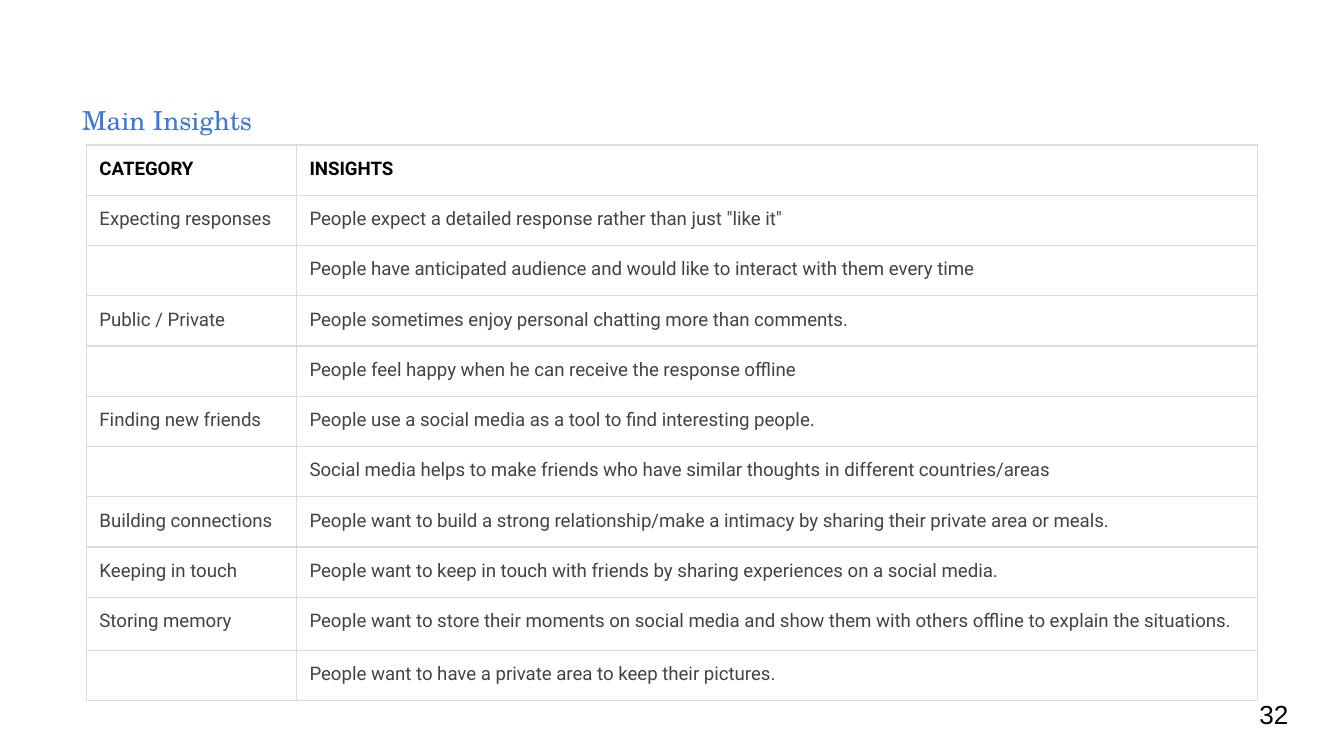
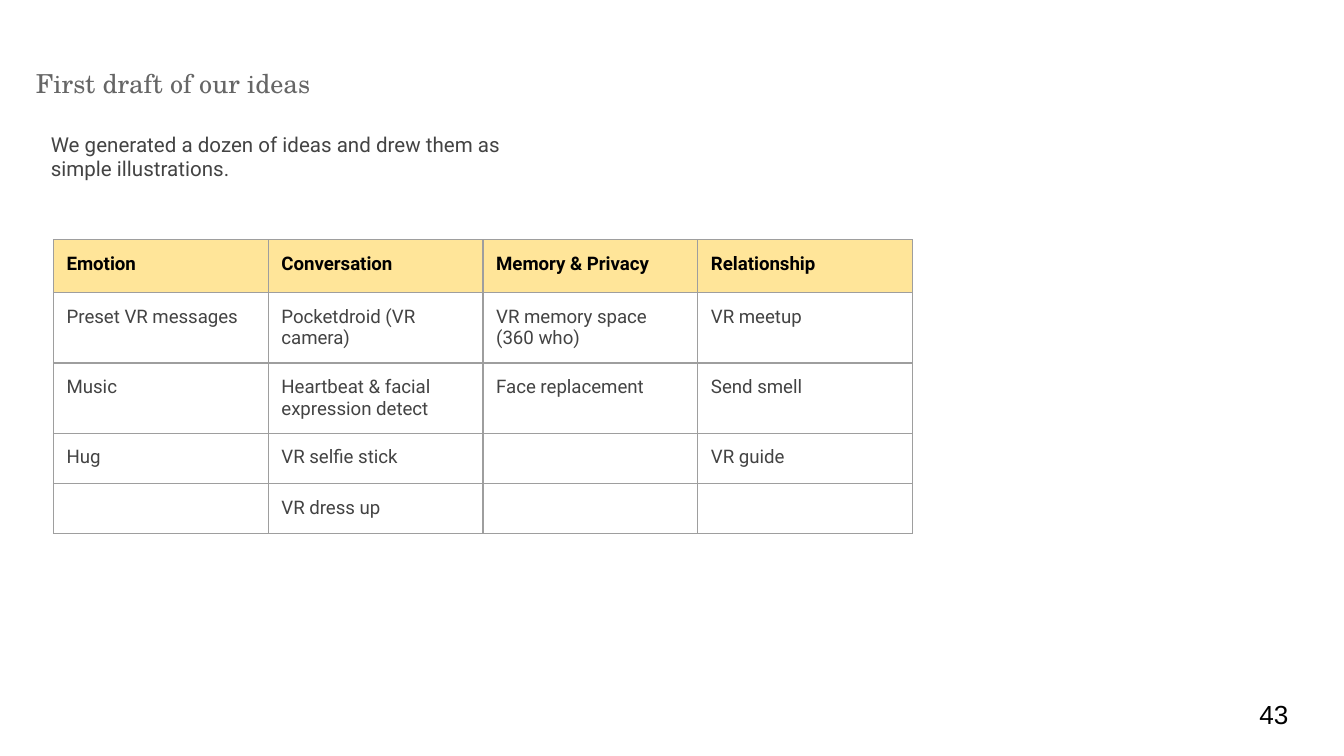
from lxml.etree import SubElement
from pptx import Presentation
from pptx.dml.color import RGBColor
from pptx.enum.text import MSO_ANCHOR, MSO_AUTO_SIZE, PP_ALIGN
from pptx.oxml.ns import qn
from pptx.util import Cm, Pt

SANS, SERIF, NUMBER_FONT = "Roboto", "TeX Gyre Schola", "Arial"
BLACK, DARK, GREY, BLUE = "000000", "434343", "666666", "3C78D8"
YELLOW, PALE_LINE, MID_LINE = "FFE599", "DBDBDB", "9E9E9E"
INSET = Cm(0.25)
TITLE_ONLY, TITLE_AND_BODY = 5, 1

INSIGHTS = [
    ("CATEGORY", "INSIGHTS"),
    ("Expecting responses", 'People expect a detailed response rather than just "like it"'),
    ("", "People have anticipated audience and would like to interact with them every time"),
    ("Public / Private", "People sometimes enjoy personal chatting more than comments."),
    ("", "People feel happy when he can receive the response offline"),
    ("Finding new friends", "People use a social media as a tool to find interesting people."),
    ("", "Social media helps to make friends who have similar thoughts in different countries/areas"),
    ("Building connections", "People want to build a strong relationship/make a intimacy by "
                             "sharing their private area or meals."),
    ("Keeping in touch", "People want to keep in touch with friends by sharing experiences "
                         "on a social media."),
    ("Storing memory", "People want to store their moments on social media and show them "
                       "with others offline to explain the situations."),
    ("", "People want to have a private area to keep their pictures."),
]

IDEAS = [
    ("Emotion", "Conversation", "Memory & Privacy", "Relationship"),
    ("Preset VR messages", "Pocketdroid (VR camera)", "VR memory space\n(360 who)", "VR meetup"),
    ("Music", "Heartbeat & facial expression detect", "Face replacement", "Send smell"),
    ("Hug", "VR selfie stick", "", "VR guide"),
    ("", "VR dress up", "", ""),
]


def rgb(value):
    return RGBColor.from_string(value)


def set_font(para, name, size, color, bold=False):
    para.font.name = name
    para.font.size = Pt(size)
    para.font.color.rgb = rgb(color)
    para.font.bold = bold


def fill_box(box, place, text, name, size, color, anchor=MSO_ANCHOR.TOP):
    """Place a text shape, write one paragraph in it and return the paragraph."""
    box.left, box.top, box.width, box.height = (Cm(length) for length in place)
    frame = box.text_frame
    frame.word_wrap = True
    frame.auto_size = MSO_AUTO_SIZE.NONE
    frame.vertical_anchor = anchor
    frame.margin_left = frame.margin_right = INSET
    frame.margin_top = frame.margin_bottom = INSET
    frame.text = text
    para = frame.paragraphs[0]
    para.alignment = PP_ALIGN.LEFT
    para.space_before = Pt(0)
    set_font(para, name, size, color)
    return para


def add_title(page, place, text, color, anchor=MSO_ANCHOR.TOP):
    return fill_box(page.shapes.title, place, text, SERIF, 14, color, anchor)


def add_body(page, place, text):
    box = page.placeholders[1]
    para = fill_box(box, place, text, SANS, 11, DARK)
    para.space_after = Pt(10)
    properties = para._p.get_or_add_pPr()
    properties.set("marL", "0")
    properties.set("indent", "0")
    no_bullet = SubElement(properties, qn("a:buNone"))
    properties.find(qn("a:defRPr")).addprevious(no_bullet)


def add_page_number(page, number):
    box = page.shapes.add_textbox(0, 0, 0, 0)
    fill_box(box, (23.55, 12.95, 1.52, 1.09), str(number), NUMBER_FONT, 14, BLACK,
             MSO_ANCHOR.MIDDLE)


def add_borders(cell, color):
    properties = cell._tc.get_or_add_tcPr()
    for position, side in enumerate(("lnL", "lnR", "lnT", "lnB")):
        line = SubElement(properties, qn(f"a:{side}"), w=str(Pt(0.75)))
        solid = SubElement(line, qn("a:solidFill"))
        SubElement(solid, qn("a:srgbClr"), val=color)
        properties.insert(position, line)


def style_cell(cell, text, is_header, header_fill, line_color):
    cell.text = text
    cell.margin_left = cell.margin_right = INSET
    cell.margin_top = cell.margin_bottom = INSET
    for para in cell.text_frame.paragraphs:
        set_font(para, SANS, 10, BLACK if is_header else DARK, is_header)
        if not text:
            para._p.get_or_add_endParaRPr().set("sz", "1000")
    if is_header and header_fill:
        cell.fill.solid()
        cell.fill.fore_color.rgb = rgb(header_fill)
    else:
        cell.fill.background()
    add_borders(cell, line_color)


def add_grid(page, left, top, widths, heights, rows, line_color, header_fill=None):
    table = page.shapes.add_table(len(rows), len(widths), Cm(left), Cm(top),
                                  Cm(sum(widths)), Cm(sum(heights))).table
    table.first_row = table.horz_banding = False
    for column, width in zip(table.columns, widths):
        column.width = Cm(width)
    for row_index, (row, height, texts) in enumerate(zip(table.rows, heights, rows)):
        row.height = Cm(height)
        for cell, text in zip(row.cells, texts):
            style_cell(cell, text, row_index == 0, header_fill, line_color)


def add_insights_page(deck):
    page = deck.slides.add_slide(deck.slide_layouts[TITLE_ONLY])
    add_grid(page, 1.63, 2.74, (3.97, 18.16), [0.95] * 9 + [1, 0.95], INSIGHTS, PALE_LINE)
    add_page_number(page, 32)
    para = add_title(page, (1.3, 1.55, 8.2, 1.37), "Main Insights", BLUE, MSO_ANCHOR.MIDDLE)
    para.line_spacing = 1.15
    para.space_after = Pt(16)


def add_ideas_page(deck):
    page = deck.slides.add_slide(deck.slide_layouts[TITLE_AND_BODY])
    add_grid(page, 1.01, 4.53, [4.06] * 4, (1, 1.33, 1.33, 0.95, 0.95), IDEAS, MID_LINE, YELLOW)
    add_title(page, (0.43, 1.02, 10.97, 1.22), "First draft of our ideas", GREY)
    add_body(page, (0.71, 2.24, 9.7, 1.8),
             "We generated a dozen of ideas and drew them as simple illustrations.")
    add_page_number(page, 43)


def main():
    deck = Presentation()
    deck.slide_width, deck.slide_height = Cm(25.4), Cm(14.29)
    add_insights_page(deck)
    add_ideas_page(deck)
    deck.save("out.pptx")


if __name__ == "__main__":
    main()
